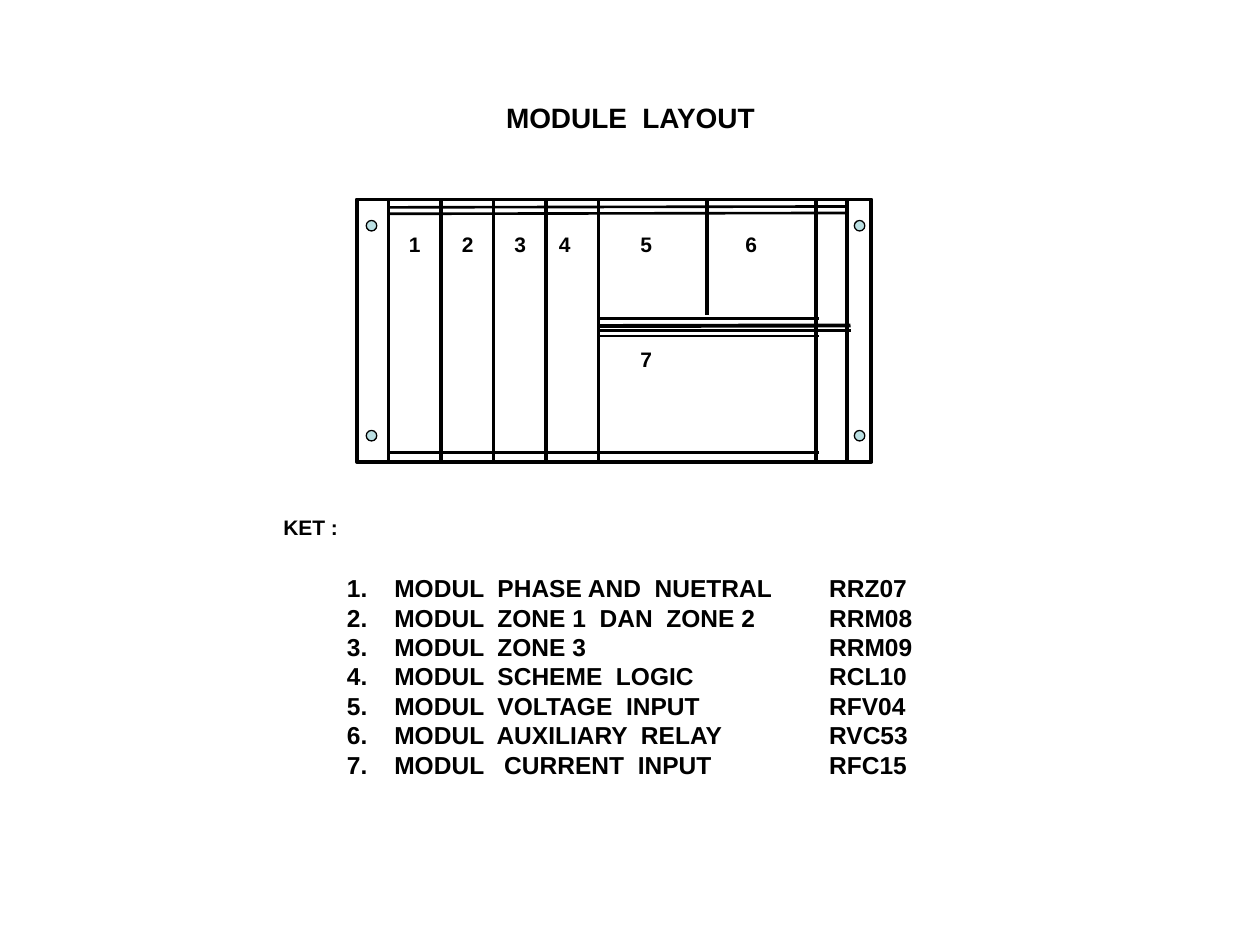
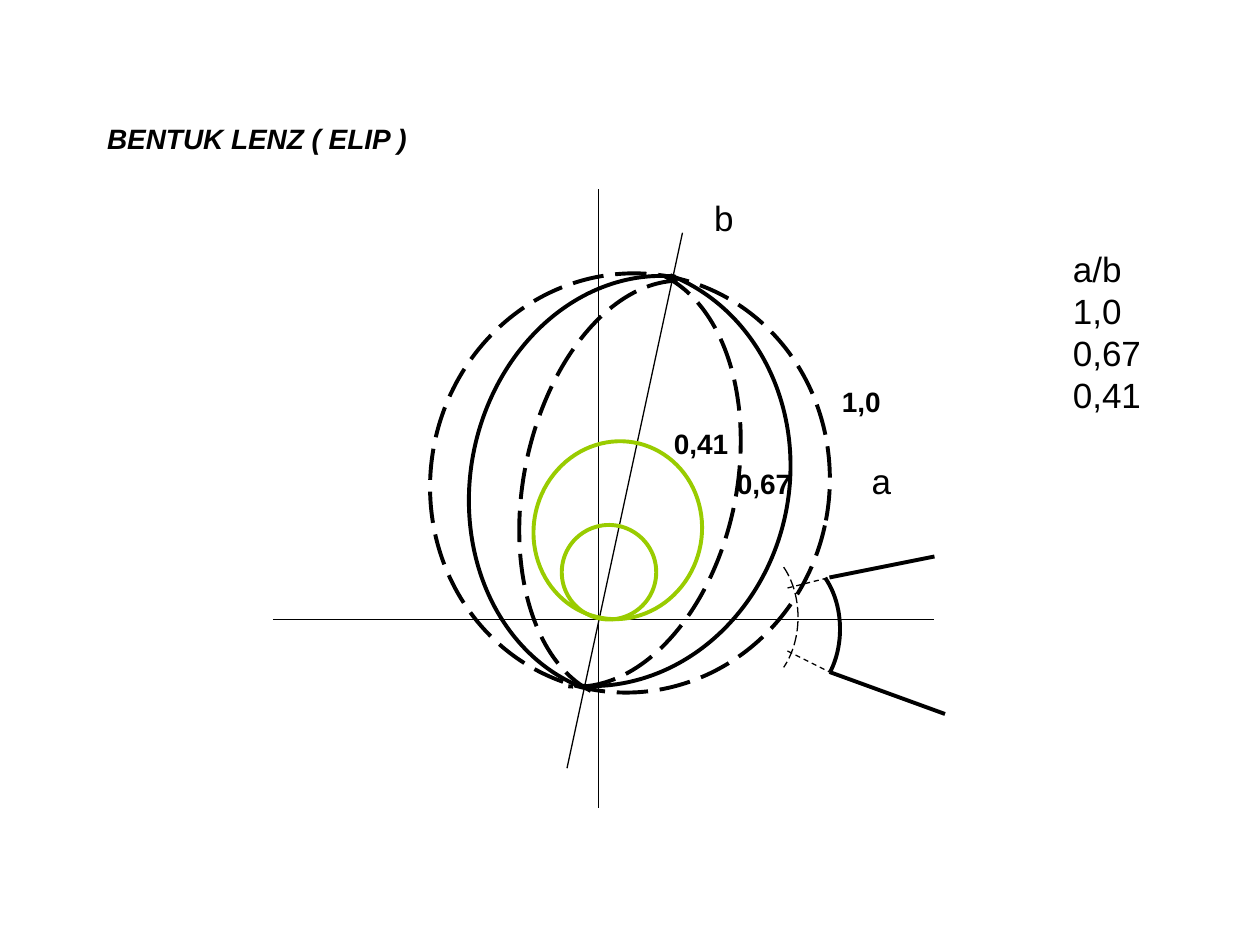
from lxml.etree import SubElement
from pptx import Presentation
from pptx.dml.color import RGBColor
from pptx.enum.dml import MSO_LINE as DASH
from pptx.enum.shapes import MSO_CONNECTOR, MSO_SHAPE as SHAPE
from pptx.enum.text import MSO_ANCHOR, MSO_AUTO_SIZE, PP_ALIGN
from pptx.oxml.ns import qn
from pptx.util import Pt

BLACK = "000000"
GREEN = "99CC00"
PALE_BLUE = "BBE0E3"
FONT = "Arial"
THIN, MEDIUM, THICK = 0.75, 1.5, 2.25


def style_outline(shape, width, color=BLACK, dash=None):
    shape.line.color.rgb = RGBColor.from_string(color)
    shape.line.width = Pt(width)
    if dash:
        shape.line.dash_style = dash
    SubElement(shape._element.spPr, qn("a:effectLst"))


def write_text(shape, box, text, size, bold=False, italic=False):
    shape.left, shape.top, shape.width, shape.height = map(Pt, box)
    frame = shape.text_frame
    frame.text = text
    frame.word_wrap = False
    frame.auto_size = MSO_AUTO_SIZE.SHAPE_TO_FIT_TEXT
    frame.vertical_anchor = MSO_ANCHOR.TOP
    for paragraph in frame.paragraphs:
        paragraph.alignment = PP_ALIGN.LEFT
        for run in paragraph.runs:
            run.font.name = FONT
            run.font.size = Pt(size)
            run.font.bold = bold
            run.font.italic = italic
            run.font.color.rgb = RGBColor.from_string(BLACK)


presentation = Presentation()
presentation.slide_width = Pt(720)
presentation.slide_height = Pt(540)
title_only = presentation.slide_layouts[5]

module_slide = presentation.slides.add_slide(title_only)
write_text(module_slide.shapes.title, (282, 54, 158, 26.6), "MODULE  LAYOUT", 16, bold=True)

RACK_TOP, RACK_BOTTOM = 114, 264
rack = module_slide.shapes.add_shape(
    SHAPE.RECTANGLE, Pt(204), Pt(RACK_TOP), Pt(294), Pt(RACK_BOTTOM - RACK_TOP))
rack.fill.background()
style_outline(rack, THICK)

column_edges = [222 + 30 * column for column in range(5)] + [466.5, 484]
rack_lines = [(x, RACK_TOP, x, RACK_BOTTOM, THICK) for x in column_edges]
rack_lines += [
    (342, 186.3, 486, 186, THICK),
    (342, 189, 486, 189, MEDIUM),
    (342, 182, 468, 182, MEDIUM),
    (342, 192, 468, 192, MEDIUM),
    (404, RACK_TOP, 404, 180, THICK),
    (222, 258.6, 468, 258.6, MEDIUM),
    (221.5, 118.5, 485, 118, MEDIUM),
    (221.5, 122.2, 485, 121.7, MEDIUM),
]
for x1, y1, x2, y2, width in rack_lines:
    line = module_slide.shapes.add_connector(
        MSO_CONNECTOR.STRAIGHT, Pt(x1), Pt(y1), Pt(x2), Pt(y2))
    style_outline(line, width)

for x in (209.3, 488.2):
    for y in (126, 246):
        screw = module_slide.shapes.add_shape(SHAPE.OVAL, Pt(x), Pt(y), Pt(6), Pt(6))
        screw.fill.solid()
        screw.fill.fore_color.rgb = RGBColor.from_string(PALE_BLUE)
        style_outline(screw, THIN)

number_places = [(226.6, 129), (256.8, 129), (286.8, 129), (312.2, 129),
                 (358.8, 129), (418.8, 129), (358.8, 194.5)]
for number, (x, y) in enumerate(number_places, 1):
    label = module_slide.shapes.add_textbox(0, 0, 0, 0)
    write_text(label, (x, y, 20.9, 21.8), str(number), 12, bold=True)

modules = [
    ("MODUL  PHASE AND  NUETRAL", "RRZ07"),
    ("MODUL  ZONE 1  DAN  ZONE 2", "RRM08"),
    ("MODUL  ZONE 3", "RRM09"),
    ("MODUL  SCHEME  LOGIC", "RCL10"),
    ("MODUL  VOLTAGE  INPUT", "RFV04"),
    ("MODUL  AUXILIARY  RELAY", "RVC53"),
    ("MODUL   CURRENT  INPUT", "RFC15"),
]
module_list = module_slide.shapes.add_textbox(0, 0, 0, 0)
write_text(module_list, (191.2, 324, 339, 125.3),
           "\n".join("\t".join(module) for module in modules), 14, bold=True)
for paragraph in module_list.text_frame.paragraphs:
    properties = paragraph._p.get_or_add_pPr()
    properties.set("marL", str(Pt(27)))
    properties.set("indent", str(Pt(-27)))
    SubElement(properties, qn("a:buFont"), typeface="+mj-lt")
    SubElement(properties, qn("a:buAutoNum"), type="arabicPeriod")
    tabs = SubElement(properties, qn("a:tabLst"))
    SubElement(tabs, qn("a:tab"), pos=str(Pt(275.5)), algn="l")

key_label = module_slide.shapes.add_textbox(0, 0, 0, 0)
write_text(key_label, (154.8, 290.6, 50, 21.8), "KET :", 12, bold=True)

lens_slide = presentation.slides.add_slide(title_only)
write_text(lens_slide.shapes.title, (54, 66, 186.5, 26.6), "BENTUK LENZ ( ELIP )", 16,
           bold=True, italic=True)

lens_lines = [
    (342, 108, 342, 462, THIN, None),
    (156, 354, 534, 354, THIN, None),
    (324, 439, 390, 133, THIN, None),
    (474, 384, 540, 408, THICK, None),
    (474, 330, 534, 318, THICK, None),
    (450, 372, 474, 384, THIN, DASH.DASH),
    (450, 336, 474, 330, THIN, DASH.DASH),
]
for x1, y1, x2, y2, width, dash in lens_lines:
    line = lens_slide.shapes.add_connector(
        MSO_CONNECTOR.STRAIGHT, Pt(x1), Pt(y1), Pt(x2), Pt(y2))
    style_outline(line, width, dash=dash)

lens_arcs = [
    (246, 156, 228, 240, 11.3, 1, 0, THICK, DASH.LONG_DASH),
    (234, 150, 217.2, 242.5, 191.2, 98.3, 265.4, THICK, None),
    (268.7, 157, 205, 242.5, 11.2, 98.3, 265.8, THICK, None),
    (299, 159, 149, 242.5, 11.2, 96.2, 267.7, THICK, DASH.LONG_DASH),
    (265.7, 151.2, 155.5, 242.5, 191.2, 96.2, 267.7, THICK, DASH.LONG_DASH),
    (420, 317.5, 60, 84, 0, 306.3, 45, THICK, None),
    (396, 311, 60, 83.5, 0, 307.3, 52.7, THIN, DASH.LONG_DASH),
]
for x, y, width, height, rotation, start, end, weight, dash in lens_arcs:
    arc = lens_slide.shapes.add_shape(SHAPE.ARC, Pt(x), Pt(y), Pt(width), Pt(height))
    arc.rotation = rotation
    arc.adjustments[0] = start * 0.6
    arc.adjustments[1] = end * 0.6
    arc.fill.background()
    style_outline(arc, weight, dash=dash)

for x, y, width, height, rotation in [(321, 300, 54, 54, 11.7), (305, 252, 96, 102, 13.7)]:
    zone = lens_slide.shapes.add_shape(SHAPE.OVAL, Pt(x), Pt(y), Pt(width), Pt(height))
    zone.rotation = rotation
    zone.fill.background()
    style_outline(zone, THICK, GREEN)

lens_labels = [
    ("a", (491, 259.2, 25.2, 31.5), 20, False),
    ("b", (401, 109, 25.2, 31.5), 20, False),
    ("a/b\n1,0\n0,67\n0,41", (606, 138, 53.3, 103.5), 20, False),
    ("0,41", (378, 240, 45.4, 26.6), 16, True),
    ("0,67", (414, 263, 45.4, 26.6), 16, True),
    ("1,0", (474, 216, 36.7, 26.6), 16, True),
]
for text, box, size, bold in lens_labels:
    label = lens_slide.shapes.add_textbox(0, 0, 0, 0)
    write_text(label, box, text, size, bold)

presentation.save("out.pptx")
